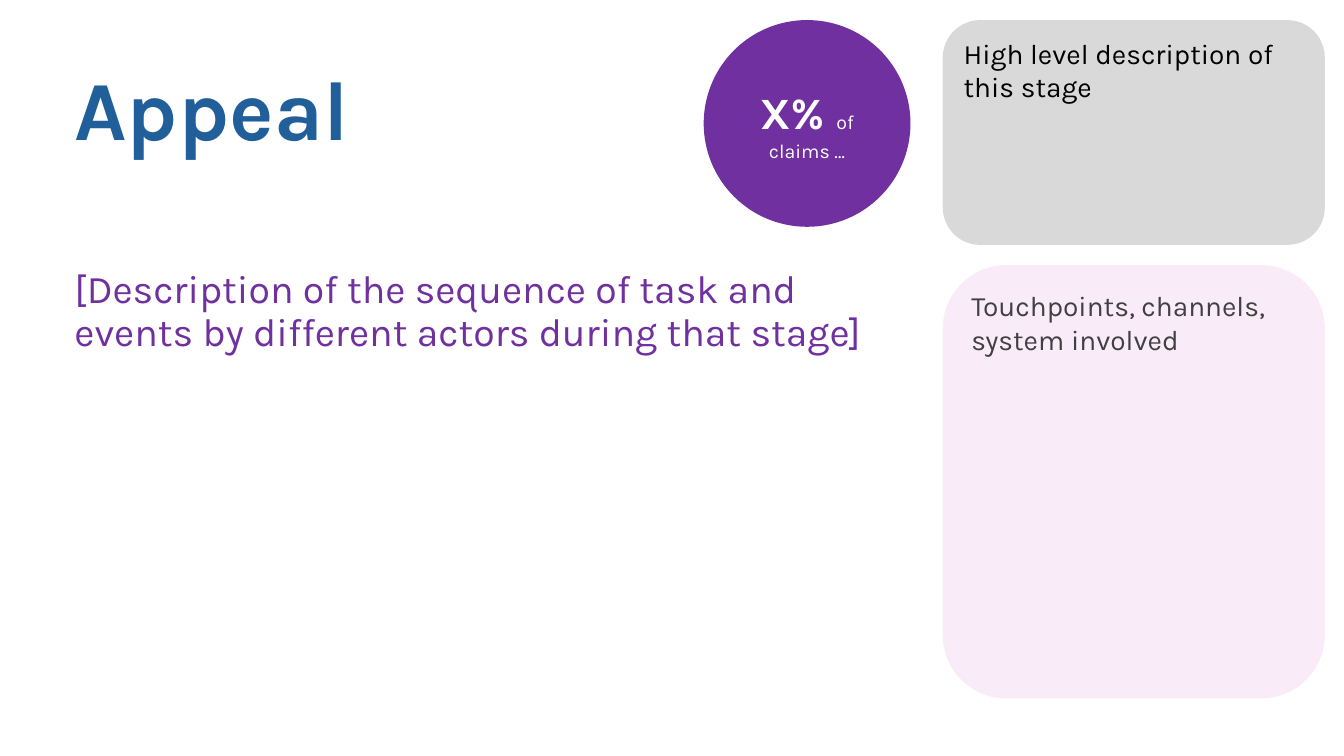
from lxml import etree
from pptx import Presentation
from pptx.dml.color import RGBColor
from pptx.enum.shapes import MSO_SHAPE
from pptx.enum.text import MSO_ANCHOR, PP_ALIGN
from pptx.oxml.ns import qn
from pptx.util import Inches, Pt

OVAL = MSO_SHAPE.OVAL
ROUND = MSO_SHAPE.ROUNDED_RECTANGLE
TOP, MIDDLE = MSO_ANCHOR.TOP, MSO_ANCHOR.MIDDLE
LEFT, CENTER = PP_ALIGN.LEFT, PP_ALIGN.CENTER

FONT = "Karla"
BLUE = RGBColor(0x21, 0x5F, 0x9A)
PURPLE = RGBColor(0x70, 0x30, 0xA0)
GRAY = RGBColor(0xD9, 0xD9, 0xD9)
PINK = RGBColor(0xE5, 0x9E, 0xDD)
WHITE = RGBColor(0xFF, 0xFF, 0xFF)
BLACK = RGBColor(0x00, 0x00, 0x00)
DARK = RGBColor(0x40, 0x40, 0x40)


def write(shape, runs, color, anchor=TOP, align=LEFT):
    frame = shape.text_frame
    frame.word_wrap = True
    frame.vertical_anchor = anchor
    para = frame.paragraphs[0]
    para.alignment = align
    for text, size, bold in runs:
        run = para.add_run()
        run.text = text
        font = run.font
        font.name, font.size, font.bold = FONT, Pt(size), bold
        font.color.rgb = color
    return para


def add_text(slide, box, runs, color, anchor=TOP):
    shape = slide.shapes.add_textbox(*map(Inches, box))
    para = write(shape, runs, color, anchor)
    para.line_spacing = 0.9
    return para


def add_form(slide, kind, box, fill):
    shape = slide.shapes.add_shape(kind, *map(Inches, box))
    shape.shadow.inherit = False
    shape.fill.solid()
    shape.fill.fore_color.rgb = fill
    shape.line.fill.background()
    return shape


def add_main(slide, left, top):
    add_text(slide, (left, top, 6.02, 1.45), [("Appeal", 60, True)], BLUE, MIDDLE)
    story = "[Description of the sequence of task and events by different actors during that stage]"
    para = add_text(slide, (left, top + 2.23, 8.16, 4.3), [(story, 28, False)], PURPLE)
    para.space_before = Pt(10)


def add_badge(slide, left, top, size):
    badge = add_form(slide, OVAL, (left, top, size, size), PURPLE)
    badge.line.color.rgb = PURPLE
    badge.line.width = Pt(1.5)
    runs = [("X% ", 32, True), ("of claims …", 14, False)]
    write(badge, runs, WHITE, MIDDLE, CENTER)


def add_side(slide, left, top, width):
    high, gap = 2.23, 0.2
    stage = add_form(slide, ROUND, (left, top, width, high), GRAY)
    write(stage, [("High level description of this stage", 20, False)], BLACK)
    touch = add_form(slide, ROUND, (left, top + high + gap, width, 4.3), PINK)
    tint = next(touch.fill._xPr.iter(qn("a:srgbClr")))
    etree.SubElement(tint, qn("a:alpha"), val="20000")
    write(touch, [("Touchpoints, channels, system involved", 20, False)], DARK)


def main():
    deck = Presentation()
    deck.slide_width, deck.slide_height = Inches(13.33), Inches(7.5)
    slide = deck.slides.add_slide(deck.slide_layouts[6])
    add_main(slide, 0.64, 0.4)
    add_badge(slide, 6.99, 0.21, 2.03)
    add_side(slide, 9.35, 0.2, 3.79)
    deck.save("out.pptx")


if __name__ == "__main__":
    main()
